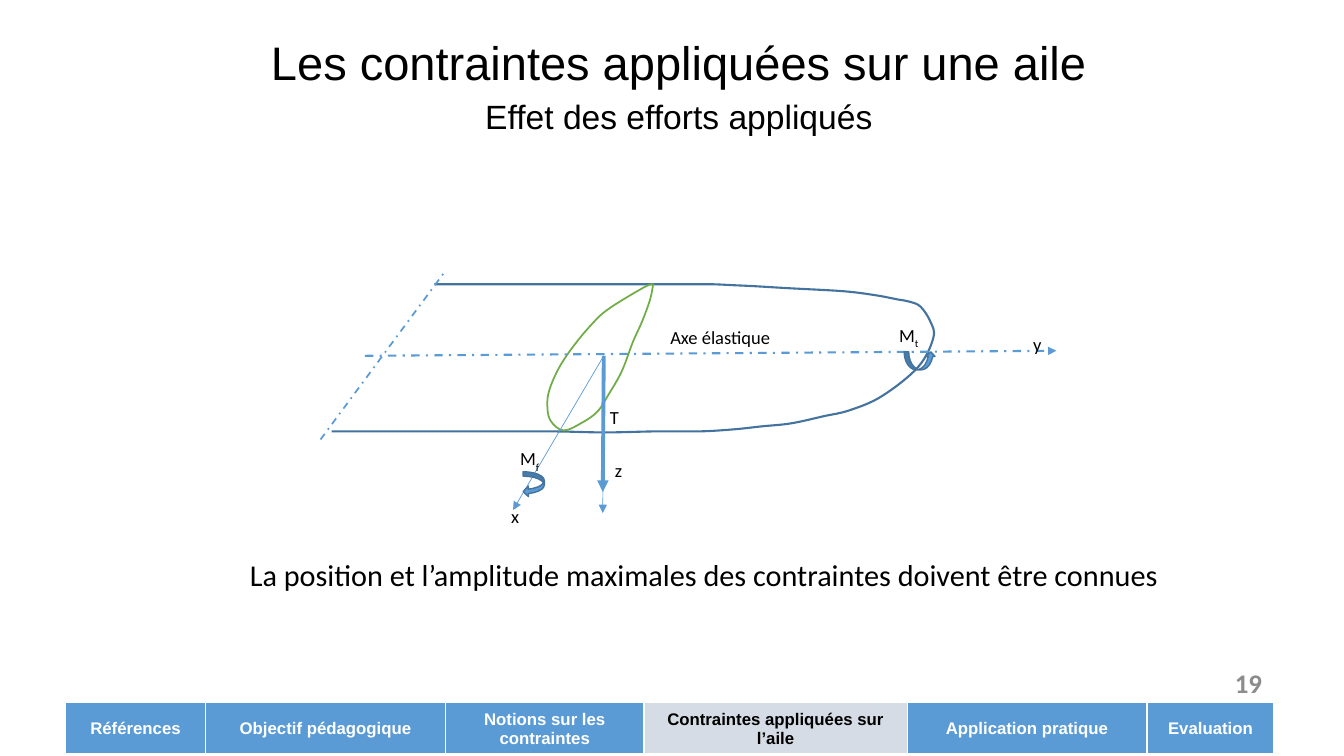
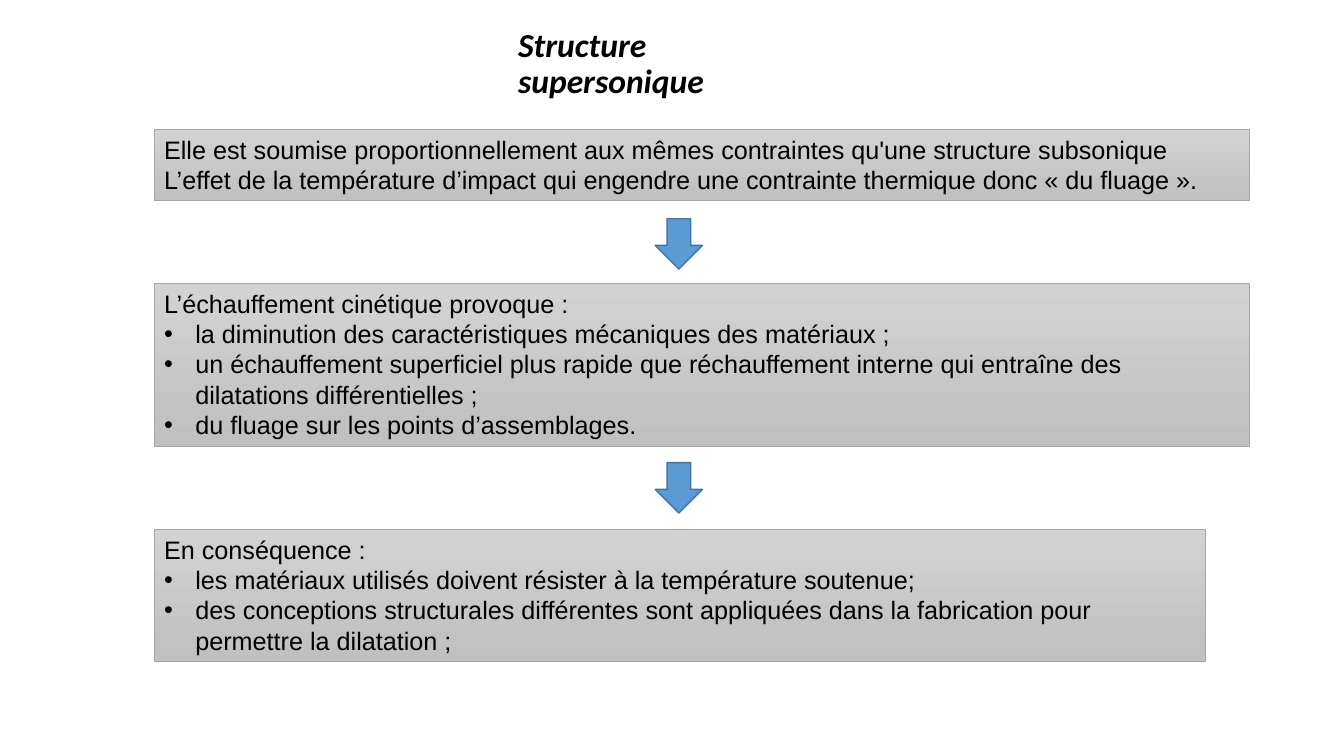
from dataclasses import dataclass

from lxml.etree import SubElement
from pptx import Presentation
from pptx.dml.color import RGBColor
from pptx.enum.dml import MSO_LINE
from pptx.enum.shapes import MSO_CONNECTOR, MSO_SHAPE
from pptx.enum.text import MSO_ANCHOR as Anchor, MSO_AUTO_SIZE, PP_ALIGN as Align
from pptx.oxml.ns import qn
from pptx.util import Inches, Pt


@dataclass(frozen=True)
class Theme:
    black: str = "000000"
    white: str = "FFFFFF"
    blue: str = "5B9BD5"
    dark_blue: str = "43739E"
    green: str = "70AD47"
    pale: str = "D6DCE5"
    number_grey: str = "8C8C8C"
    box_edge: str = "A5A5A5"
    box_top: str = "D2D2D2"
    box_bottom: str = "C0C0C0"
    heading_font: str = "Arial"
    text_font: str = "Calibri"
    title: float = 33.6
    subtitle: float = 24
    statement: float = 21.6
    number: float = 19.2
    body: float = 18
    label: float = 13.2
    navigation: float = 12


THEME = Theme()
TITLE_ONLY = 5
LABEL_INSETS = (0.12, 0.06)
BOX_INSETS = (0.1, 0.05)

WING_OUTLINE = [
    (4.31, 2.82), (5.5, 2.82), (6.48, 2.82), (6.85, 2.82), (7.06, 2.82),
    (7.28, 2.83), (7.49, 2.84), (7.83, 2.86), (8.37, 2.89), (8.69, 2.93),
    (8.9, 2.97), (9.01, 2.99), (9.13, 3.04), (9.23, 3.19), (9.26, 3.35),
    (9.11, 3.64), (8.75, 3.93), (8.43, 4.07), (8.17, 4.13), (7.85, 4.2),
    (7.56, 4.23), (7.28, 4.26), (6.94, 4.28), (6.51, 4.28), (6, 4.29),
    (5.46, 4.28), (4.66, 4.28), (4.21, 4.28), (3.53, 4.28), (3.29, 4.28),
]
WING_SECTION = [
    (6.48, 2.82), (6.39, 2.85), (6.03, 3.07), (5.85, 3.24), (5.67, 3.46),
    (5.54, 3.66), (5.45, 3.87), (5.43, 4.02), (5.46, 4.17), (5.59, 4.27),
    (5.78, 4.19), (5.93, 4.08), (6.04, 3.91), (6.17, 3.68), (6.28, 3.39),
    (6.37, 3.19), (6.45, 2.97), (6.48, 2.82),
]
CHAPTERS = [
    ("Références", 1.39), ("Objectif pédagogique", 2.38),
    ("Notions sur les contraintes", 1.97), ("Contraintes appliquées sur l’aile", 2.61),
    ("Application pratique", 2.38), ("Evaluation", 1.26),
]


def rgb(colour):
    return RGBColor.from_string(colour)


def smooth_outline(shape):
    """Turn the sloping segments of a freeform into Bezier curves through its points."""
    outline = next(shape._element.iter(qn("a:path")))
    segments = outline.findall(qn("a:lnTo"))
    points = [(int(point.get("x")), int(point.get("y"))) for point in outline.iter(qn("a:pt"))]
    padded = [points[0], *points, points[-1]]
    for segment, before, start, end, after in zip(
            segments, padded, padded[1:], padded[2:], padded[3:]):
        if start[1] == end[1]:
            continue
        controls = (
            [s + (e - b) / 6 for b, s, e in zip(before, start, end)],
            [e - (a - s) / 6 for s, e, a in zip(start, end, after)],
            end,
        )
        curve = SubElement(outline, qn("a:cubicBezTo"))
        for x, y in controls:
            SubElement(curve, qn("a:pt"), x=str(round(x)), y=str(round(y)))
        outline.replace(segment, curve)


def add_bullet(paragraph, indent=0.31):
    properties = paragraph._p.get_or_add_pPr()
    properties.set("marL", str(Inches(indent)))
    properties.set("indent", str(-Inches(indent)))
    SubElement(properties, qn("a:buFont")).set("typeface", "Arial")
    SubElement(properties, qn("a:buChar")).set("char", "•")


class Deck:
    def __init__(self, theme):
        self.theme = theme
        self.presentation = Presentation()
        self.presentation.slide_width = Inches(40 / 3)
        self.presentation.slide_height = Inches(7.5)
        self.slide = None

    def new_slide(self):
        layout = self.presentation.slide_layouts[TITLE_ONLY]
        self.slide = self.presentation.slides.add_slide(layout)

    def style_font(self, font, size, name=None, colour=None, bold=False, italic=False):
        font.size = Pt(size)
        font.name = name or self.theme.text_font
        font.color.rgb = rgb(colour or self.theme.black)
        font.bold, font.italic = bold, italic

    def set_frame(self, frame, insets=BOX_INSETS, anchor=Anchor.TOP, wrap=True):
        frame.auto_size = MSO_AUTO_SIZE.NONE
        frame.word_wrap = wrap
        frame.vertical_anchor = anchor
        frame.margin_left = frame.margin_right = Inches(insets[0])
        frame.margin_top = frame.margin_bottom = Inches(insets[1])

    def title(self, text, box, size, align=Align.CENTER, spacing=1.0,
              anchor=Anchor.TOP, **font):
        title = self.slide.shapes.title
        title.left, title.top, title.width, title.height = map(Inches, box)
        self.set_frame(title.text_frame, anchor=anchor)
        title.text_frame.text = text
        paragraph = title.text_frame.paragraphs[0]
        paragraph.alignment, paragraph.line_spacing = align, spacing
        self.style_font(paragraph.runs[0].font, size, **font)

    def text(self, text, box, size, align=Align.LEFT, anchor=Anchor.TOP,
             insets=BOX_INSETS, wrap=True, **font):
        shape = self.slide.shapes.add_textbox(*map(Inches, box))
        self.set_frame(shape.text_frame, insets, anchor, wrap)
        shape.text_frame.text = text
        paragraph = shape.text_frame.paragraphs[0]
        paragraph.alignment = align
        self.style_font(paragraph.runs[0].font, size, **font)
        return paragraph

    def label(self, text, left, top, subscript=None, width=0.6, height=0.34):
        paragraph = self.text(text, (left, top, width, height), self.theme.label,
                              insets=LABEL_INSETS)
        if subscript:
            run = paragraph.add_run()
            run.text = subscript
            self.style_font(run.font, self.theme.label)
            run._r.get_or_add_rPr().set("baseline", "-30000")

    def line(self, start, end, width, dashed=False, arrow=False):
        connector = self.slide.shapes.add_connector(
            MSO_CONNECTOR.STRAIGHT, *map(Inches, (*start, *end)))
        connector.line.color.rgb = rgb(self.theme.blue)
        connector.line.width = Pt(width)
        if dashed:
            connector.line.dash_style = MSO_LINE.DASH_DOT
        if arrow:
            SubElement(connector.line._get_or_add_ln(), qn("a:tailEnd")).set("type", "triangle")
        SubElement(connector._element.spPr, qn("a:effectLst"))

    def curve(self, points, colour, width, closed=False):
        start, *others = [tuple(map(Inches, point)) for point in points]
        builder = self.slide.shapes.build_freeform(*start)
        builder.add_line_segments(others, close=closed)
        shape = builder.convert_to_shape()
        smooth_outline(shape)
        shape.shadow.inherit = False
        shape.fill.background()
        shape.line.color.rgb = rgb(colour)
        shape.line.width = Pt(width)

    def arrow_shape(self, kind, box, adjustments=()):
        shape = self.slide.shapes.add_shape(kind, *map(Inches, box))
        shape.shadow.inherit = False
        shape.fill.solid()
        shape.fill.fore_color.rgb = rgb(self.theme.blue)
        shape.line.color.rgb = rgb(self.theme.dark_blue)
        shape.line.width = Pt(1)
        for index, value in enumerate(adjustments):
            shape.adjustments[index] = value

    def grey_box(self, box, lines, bullets=()):
        shape = self.slide.shapes.add_shape(MSO_SHAPE.RECTANGLE, *map(Inches, box))
        shape.shadow.inherit = False
        shape.fill.gradient()
        shape.fill.gradient_angle = 270
        for stop, colour in zip(shape.fill.gradient_stops,
                                (self.theme.box_top, self.theme.box_bottom)):
            stop.color.rgb = rgb(colour)
        shape.line.color.rgb = rgb(self.theme.box_edge)
        shape.line.width = Pt(0.5)
        frame = shape.text_frame
        self.set_frame(frame)
        frame.text = "\n".join([*lines, *bullets])
        for index, paragraph in enumerate(frame.paragraphs):
            paragraph.alignment = Align.LEFT
            if index >= len(lines):
                add_bullet(paragraph)
            self.style_font(paragraph.runs[0].font, self.theme.body, self.theme.heading_font)

    def cell_border(self, cell, side, width):
        properties = cell._tc.get_or_add_tcPr()
        border = SubElement(properties, qn(f"a:{side}"), w=str(Pt(width)))
        fill = SubElement(border, qn("a:solidFill"))
        SubElement(fill, qn("a:srgbClr")).set("val", self.theme.white)

    def navigation(self, chapters, current):
        theme = self.theme
        table = self.slide.shapes.add_table(
            1, len(chapters), *map(Inches, (0.65, 6.97, 12, 0.52))).table
        for index, (name, width) in enumerate(chapters):
            active = index == current
            table.columns[index].width = Inches(width)
            cell = table.cell(0, index)
            cell.text = name
            cell.vertical_anchor = Anchor.MIDDLE
            cell.margin_left = cell.margin_right = Inches(LABEL_INSETS[0])
            cell.margin_top = cell.margin_bottom = Inches(LABEL_INSETS[1])
            for side, border in (("lnL", 1), ("lnR", 1), ("lnT", 1), ("lnB", 3)):
                self.cell_border(cell, side, border)
            cell.fill.solid()
            cell.fill.fore_color.rgb = rgb(theme.pale if active else theme.blue)
            paragraph = cell.text_frame.paragraphs[0]
            paragraph.alignment = Align.CENTER
            self.style_font(paragraph.runs[0].font, theme.navigation, theme.heading_font,
                            theme.black if active else theme.white, bold=True)

    def page_number(self, number):
        self.text(str(number), (9.92, 6.57, 2.7, 0.4), self.theme.number, Align.RIGHT,
                  Anchor.MIDDLE, colour=self.theme.number_grey, bold=True)


def wing_loads(deck):
    theme = deck.theme
    deck.new_slide()
    deck.title("Les contraintes appliquées sur une aile", (1.99, 0.28, 9.49, 0.67),
               theme.title, name=theme.heading_font)
    deck.text("Effet des efforts appliqués", (3.21, 0.9, 7.05, 0.5), theme.subtitle,
              Align.CENTER, name=theme.heading_font)

    origin = (5.99, 3.53)
    deck.line(origin, (5.98, 5.09), 0.5, arrow=True)
    deck.curve(WING_OUTLINE, theme.dark_blue, 1.5)
    deck.line((3.18, 4.36), (4.41, 2.7), 1.25, dashed=True)
    deck.curve(WING_SECTION, theme.green, 1.25, closed=True)
    deck.line((3.62, 3.53), (10.48, 3.48), 1.5, dashed=True, arrow=True)
    deck.line(origin, (5.09, 5.06), 0.5, arrow=True)
    deck.line(origin, (5.98, 4.88), 2.75, arrow=True)
    deck.arrow_shape(MSO_SHAPE.CURVED_UP_ARROW, (8.97, 3.49, 0.31, 0.18))
    deck.arrow_shape(MSO_SHAPE.CURVED_LEFT_ARROW, (5.19, 4.68, 0.21, 0.25), (0.21, 0.5, 0.25))

    for name, left, top in (("x", 4.95, 4.95), ("z", 5.98, 4.49), ("T", 5.93, 3.97)):
        deck.label(name, left, top, width=0.39, height=0.37)
    deck.label("y", 10.13, 3.24, width=0.44)
    deck.label("M", 8.8, 3.15, subscript="t")
    deck.label("M", 5.04, 4.38, subscript="f")
    deck.label("Axe élastique", 6.53, 3.17, width=1.3)

    deck.text("La position et l’amplitude maximales des contraintes doivent être connues",
              (2.38, 5.47, 9.32, 0.46), theme.statement, wrap=False)
    deck.page_number(19)
    deck.navigation(CHAPTERS, current=3)


def supersonic_structure(deck):
    deck.new_slide()
    deck.title("Structure supersonique", (5.04, 0.34, 3.26, 0.6), deck.theme.subtitle,
               Align.LEFT, spacing=0.9, anchor=Anchor.MIDDLE, bold=True, italic=True)
    deck.grey_box((1.53, 1.28, 10.87, 0.71), [
        "Elle est soumise proportionnellement aux mêmes contraintes qu'une structure subsonique",
        "L’effet de la température d’impact qui engendre une contrainte thermique donc « du fluage ».",
    ])
    deck.grey_box((1.53, 2.81, 10.87, 1.62), ["L’échauffement cinétique provoque :"], [
        "la diminution des caractéristiques mécaniques des matériaux ;",
        "un échauffement superficiel plus rapide que réchauffement interne qui entraîne des "
        "dilatations différentielles ;",
        "du fluage sur les points d’assemblages.",
    ])
    deck.grey_box((1.53, 5.25, 10.43, 1.31), ["En conséquence :"], [
        "les matériaux utilisés doivent résister à la température soutenue;",
        "des conceptions structurales différentes sont appliquées dans la fabrication pour "
        "permettre la dilatation ;",
    ])
    for top in (2.17, 4.59):
        deck.arrow_shape(MSO_SHAPE.DOWN_ARROW, (6.5, top, 0.47, 0.5))


def main():
    deck = Deck(THEME)
    wing_loads(deck)
    supersonic_structure(deck)
    deck.presentation.save("out.pptx")


if __name__ == "__main__":
    main()
